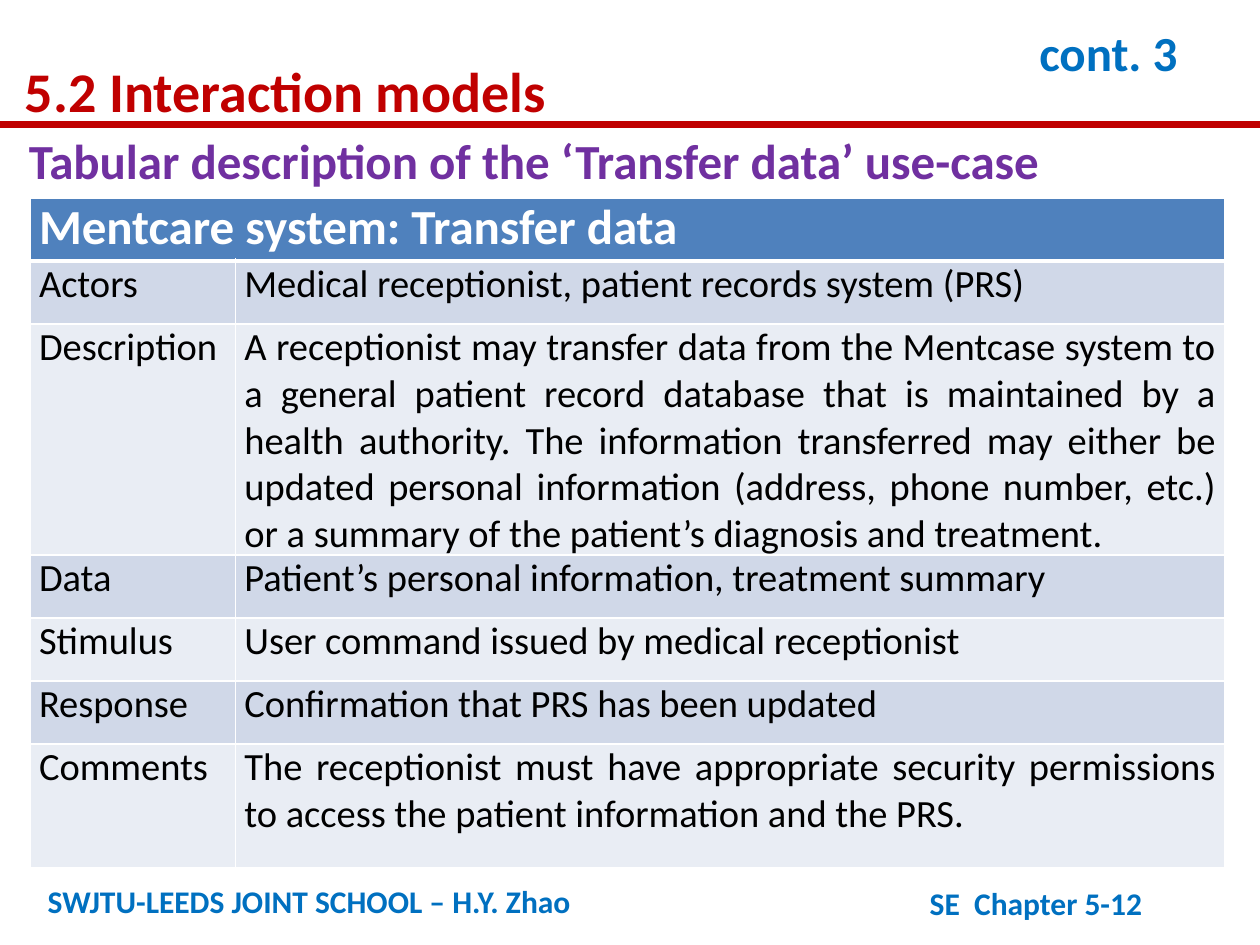
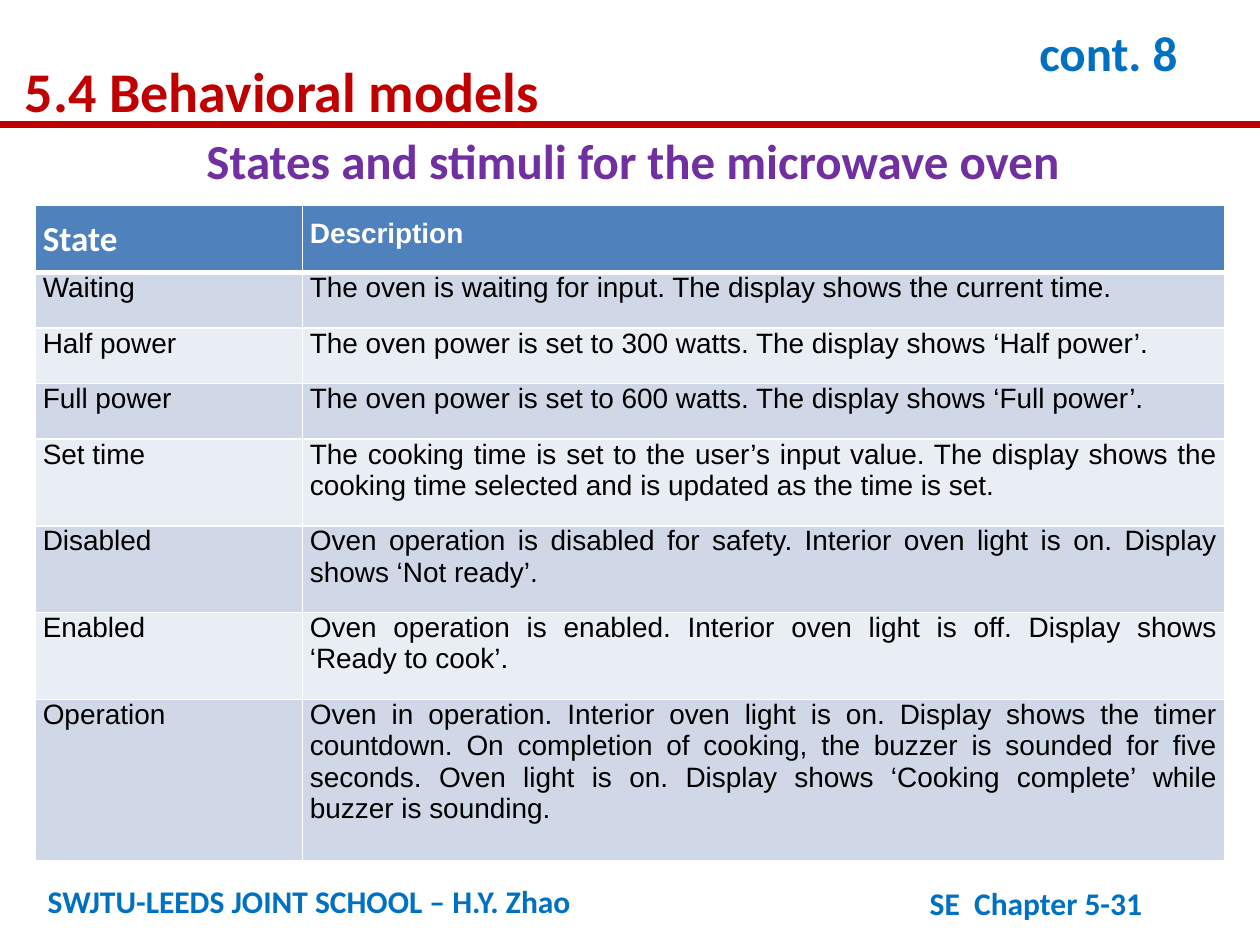
from lxml import etree
from pptx import Presentation
from pptx import util as u
from pptx.dml.color import RGBColor
from pptx.enum import shapes, text
from pptx.oxml import parse_xml
from pptx.oxml.ns import nsdecls, qn

RED = RGBColor(0xC0, 0x00, 0x00)
BLUE = RGBColor(0x00, 0x70, 0xC0)
PURPLE = RGBColor(0x70, 0x30, 0xA0)
WHITE = RGBColor(0xFF, 0xFF, 0xFF)
BLACK = RGBColor(0x00, 0x00, 0x00)
HEADER_FILL = RGBColor(0x4F, 0x81, 0xBD)
BAND_FILLS = RGBColor(0xD0, 0xD8, 0xE8), RGBColor(0xE9, 0xED, 0xF4)

# The grid: 100 columns by 75 rows of equal cells
COLS, ROWS = 100, 75


def style(size, color, bold=True, name="Calibri"):
    return {"size": u.Pt(size), "color": color, "bold": bold, "name": name}


TITLE = style(32, RED)
CONT = style(28, BLUE)
SUBTITLE = style(28, PURPLE)
FOOTER = style(18, BLUE)


class Deck:
    def __init__(self):
        self.prs = Presentation()
        self.prs.slide_width, self.prs.slide_height = u.Inches(10), u.Inches(7.5)
        self.s = None

    def x(self, cols):
        return round(self.prs.slide_width * cols / COLS)

    def y(self, rows):
        return round(self.prs.slide_height * rows / ROWS)

    def put_words(self, tf, words, fmt, **para):
        p = tf.paragraphs[0]
        for key, value in para.items():
            setattr(p, key, value)
        r = p.add_run()
        r.text = words
        for key, value in fmt.items():
            if key == "color":
                r.font.color.rgb = value
            else:
                setattr(r.font, key, value)

    def text(self, words, left, top, width, height, fmt, wrap=True, grow=False, **para):
        sp = self.s.shapes.add_textbox(self.x(left), self.y(top), self.x(width), self.y(height))
        tf = sp.text_frame
        tf.word_wrap = wrap
        if grow:
            tf.auto_size = text.MSO_AUTO_SIZE.SHAPE_TO_FIT_TEXT
        self.put_words(tf, words, fmt, **para)

    def rule(self, row, color, points):
        line = self.s.shapes.add_connector(
            shapes.MSO_CONNECTOR.STRAIGHT, 0, self.y(row), self.x(COLS), self.y(row))
        line.line.color.rgb, line.line.width = color, u.Pt(points)
        etree.SubElement(line._element.spPr, qn("a:effectLst"))

    def slide(self, title, cont, number):
        """Start a slide with its title band and footers."""
        self.s = self.prs.slides.add_slide(self.prs.slide_layouts[6])
        self.rule(9.9, RED, 4)
        self.text("SWJTU-LEEDS JOINT SCHOOL – H.Y. Zhao", 2.8, 69.5, 63.1, 4, FOOTER)
        self.text(f"SE  Chapter {number}", 72.8, 69.7, 26.1, 4, FOOTER)
        self.text(title, 1, 2.9, 75, 7, TITLE, grow=True, line_spacing=1.2)
        self.text(f"cont. {cont}", 81.5, 2.5, 15.7, 4.7, CONT, grow=True,
                  line_spacing=u.Pt(25))

    def borders(self, cell, row):
        tcPr = cell._tc.get_or_add_tcPr()
        for side in "LRTB":
            # The edge between header and body is heavier
            points = 3 if (row, side) in ((0, "B"), (1, "T")) else 1
            tcPr.append(parse_xml(
                f'<a:ln{side} {nsdecls("a")} w="{u.Pt(points)}"><a:solidFill>'
                f'<a:srgbClr val="{WHITE}"/></a:solidFill></a:ln{side}>'))

    def table(self, rows, left, top, height, widths, heights, header, body,
              header_pad, body_pad):
        """Draw rows; header gives one format for each heading, pads are (side, top, bottom)."""
        frame = self.s.shapes.add_table(len(rows), len(widths), self.x(left), self.y(top),
                                        self.x(sum(widths)), self.y(height))
        tbl = frame.table
        for column, width in zip(tbl.columns, widths):
            column.width = self.x(width)
        for i, (row, row_height) in enumerate(zip(rows, heights)):
            tbl.rows[i].height = self.y(row_height)
            side, above, below = body_pad if i else header_pad
            for j in range(len(widths)):
                cell = tbl.cell(i, j)
                self.borders(cell, i)
                cell.fill.solid()
                cell.fill.fore_color.rgb = BAND_FILLS[(i - 1) % 2] if i else HEADER_FILL
                cell.margin_left = cell.margin_right = self.x(side)
                cell.margin_top, cell.margin_bottom = self.y(above), self.y(below)
                if j < len(row):
                    self.put_words(cell.text_frame, row[j], body if i else header[j],
                                   alignment=text.PP_ALIGN.JUSTIFY)
            # A row with a single text spans the table
            if len(row) == 1:
                tbl.cell(i, 0).merge(tbl.cell(i, len(widths) - 1))
        frame.height = self.y(height)


TRANSFER_DATA = [
    ("Mentcare system: Transfer data",),
    ("Actors", "Medical receptionist, patient records system (PRS)"),
    ("Description",
     "A receptionist may transfer data from the Mentcase system to a general patient record "
     "database that is maintained by a health authority. The information transferred may "
     "either be updated personal information (address, phone number, etc.) or a summary of "
     "the patient’s diagnosis and treatment."),
    ("Data", "Patient’s personal information, treatment summary"),
    ("Stimulus", "User command issued by medical receptionist"),
    ("Response", "Confirmation that PRS has been updated"),
    ("Comments",
     "The receptionist must have appropriate security permissions to access the patient "
     "information and the PRS."),
]

OVEN_STATES = [
    ("State", "Description"),
    ("Waiting", "The oven is waiting for input. The display shows the current time."),
    ("Half power", "The oven power is set to 300 watts. The display shows ‘Half power’."),
    ("Full power", "The oven power is set to 600 watts. The display shows ‘Full power’."),
    ("Set time",
     "The cooking time is set to the user’s input value. The display shows the cooking time "
     "selected and is updated as the time is set."),
    ("Disabled",
     "Oven operation is disabled for safety. Interior oven light is on. Display shows "
     "‘Not ready’."),
    ("Enabled",
     "Oven operation is enabled. Interior oven light is off. Display shows ‘Ready to cook’."),
    ("Operation",
     "Oven in operation. Interior oven light is on. Display shows the timer countdown. On "
     "completion of cooking, the buzzer is sounded for five seconds. Oven light is on. "
     "Display shows ‘Cooking complete’ while buzzer is sounding."),
]


def main():
    deck = Deck()

    # Use-case table
    deck.slide("5.2 Interaction models", 3, "5-12")
    deck.table(TRANSFER_DATA, 2.4, 15.7, 52.9, (16.3, 78.5),
               (5, 5, 17.2, 5, 5, 5, 9.8),
               header=[style(28, WHITE)], body=style(22, BLACK, False),
               header_pad=(0.7, 0, 0), body_pad=(0.7, 0, 0))
    deck.text("Tabular description of the ‘Transfer data’ use-case",
              1.3, 9.9, 88.9, 5.7, SUBTITLE, grow=True)

    # Microwave oven states
    deck.slide("5.4 Behavioral models", 8, "5-31")
    deck.table(OVEN_STATES, 2.8, 16.3, 52.2, (21.2, 73.2),
               (5.1, *[4.4] * 3, *[6.9] * 3, 12.8),
               header=[style(20, WHITE), style(16, WHITE, name="Arial")],
               body=style(16, BLACK, False, "Arial"),
               header_pad=(0.6, 1, 1), body_pad=(0.6, 0, 1))
    deck.text("States and stimuli for the microwave oven",
              15.4, 9.9, 71.4, 5.7, SUBTITLE, wrap=False, grow=True)

    deck.prs.save("out.pptx")


if __name__ == "__main__":
    main()
